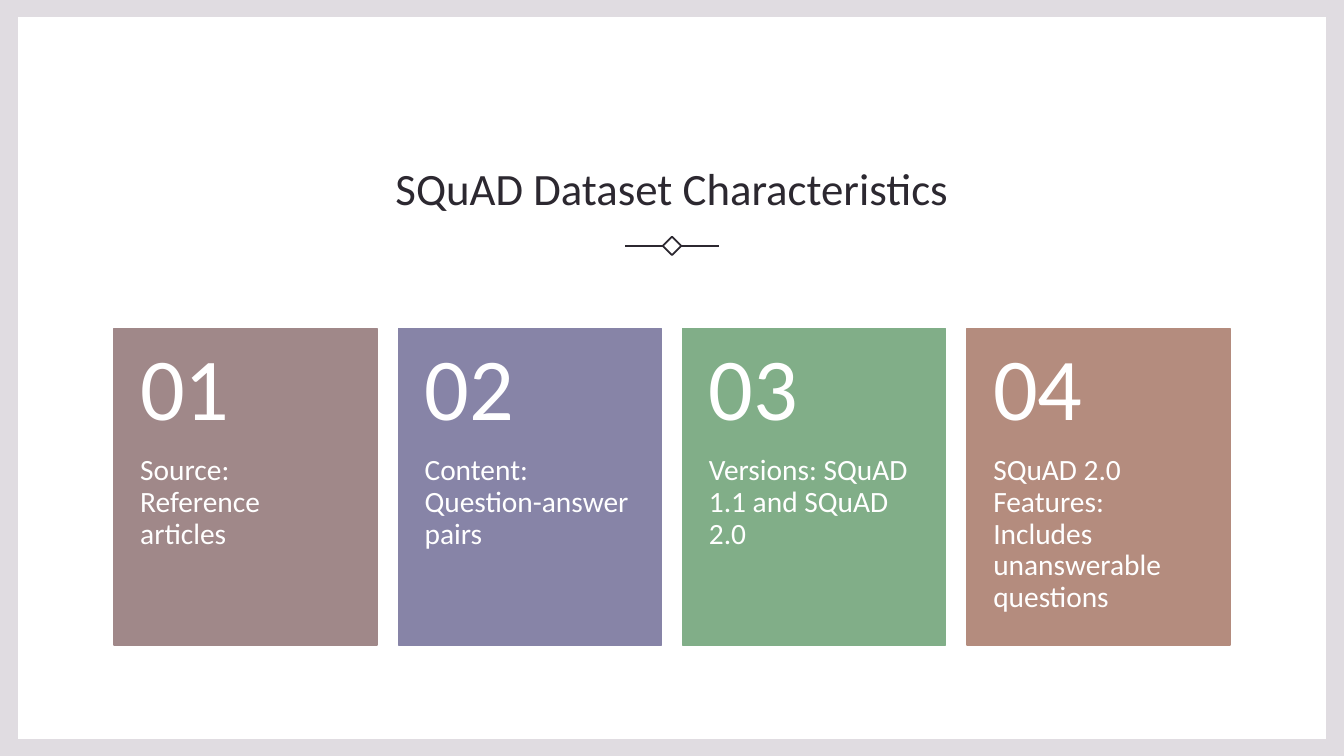
from lxml.etree import SubElement
from pptx import Presentation
from pptx.dml.color import RGBColor
from pptx.enum.shapes import MSO_CONNECTOR, MSO_SHAPE
from pptx.enum.text import MSO_ANCHOR, PP_ALIGN
from pptx.oxml.ns import qn
from pptx.util import Inches, Pt

TITLE = "SQuAD Dataset Characteristics"
CARDS = [
    ("01", "Source: Reference articles", "mauve"),
    ("02", "Content: Question-answer pairs", "violet"),
    ("03", "Versions: SQuAD 1.1 and SQuAD 2.0", "green"),
    ("04", "SQuAD 2.0 Features: Includes unanswerable questions", "clay"),
]
COLORS = {
    "frame": "E0DCE1", "white": "FFFFFF", "ink": "2C2830",
    "mauve": "A08889", "violet": "8784A7", "green": "81AE88", "clay": "B48C7E",
}
FONT = "Calibri"

SLIDE_W, SLIDE_H = 13.33, 7.5
BORDER_X, BORDER_Y = 0.18, 0.17
MARGIN = 1.13
CONTENT_W = SLIDE_W - 2 * MARGIN
GAP = 0.21
CARD_W = (CONTENT_W - GAP * (len(CARDS) - 1)) / len(CARDS)
CARD_TOP, CARD_H = 3.26, 3.14
NUMBER_H = 0.4 * CARD_H
PAD = CARD_W / 10
ORNAMENT_Y, DIAMOND = 2.44, 0.13
RULE_START, RULE_END = 0.09, 0.47  # distances from the slide's centre line


def rgb(name):
    return RGBColor.from_string(COLORS[name])


def add_rect(s, x, y, w, h, fill=None, line=None, width=1):
    sp = s.shapes.add_shape(MSO_SHAPE.RECTANGLE, Inches(x), Inches(y), Inches(w), Inches(h))
    sp.shadow.inherit = False
    if fill:
        sp.fill.solid()
        sp.fill.fore_color.rgb = rgb(fill)
    else:
        sp.fill.background()
    if line:
        sp.line.color.rgb = rgb(line)
        sp.line.width = Pt(width)
    else:
        sp.line.fill.background()
    return sp


def add_rule(s, x1, x2, y):
    sp = s.shapes.add_connector(MSO_CONNECTOR.STRAIGHT, Inches(x1), Inches(y), Inches(x2), Inches(y))
    sp.line.color.rgb = rgb("ink")
    sp.line.width = Pt(1.25)
    SubElement(sp.element.spPr, qn("a:effectLst"))


def add_text(s, text, x, y, w, h, size, color="white", align=PP_ALIGN.LEFT,
             anchor=MSO_ANCHOR.TOP, spacing=0.9, insets=(PAD, 0, PAD, 0.36)):
    tf = s.shapes.add_textbox(Inches(x), Inches(y), Inches(w), Inches(h)).text_frame
    tf.word_wrap = True
    tf.vertical_anchor = anchor
    tf.margin_left, tf.margin_top, tf.margin_right, tf.margin_bottom = map(Inches, insets)
    p = tf.paragraphs[0]
    p.alignment = align
    p.line_spacing = spacing
    r = p.add_run()
    r.text = text
    r.font.name = FONT
    r.font.size = Pt(size)
    r.font.color.rgb = rgb(color)


def add_ornament(s):
    center = SLIDE_W / 2
    diamond = add_rect(s, center - DIAMOND / 2, ORNAMENT_Y - DIAMOND / 2,
                       DIAMOND, DIAMOND, line="ink", width=1.25)
    diamond.rotation = 45
    for side in (-1, 1):
        add_rule(s, center + side * RULE_START, center + side * RULE_END, ORNAMENT_Y)


def add_card(s, index, number, text, color):
    x = MARGIN + index * (CARD_W + GAP)
    add_rect(s, x, CARD_TOP, CARD_W, CARD_H, fill=color, line=color)
    add_text(s, text, x, CARD_TOP + NUMBER_H, CARD_W, CARD_H - NUMBER_H, 21)
    add_text(s, number, x, CARD_TOP, CARD_W, NUMBER_H, 63,
             anchor=MSO_ANCHOR.MIDDLE, insets=(PAD, 0.18, PAD, 0.18))


def main():
    prs = Presentation()
    prs.slide_width, prs.slide_height = Inches(SLIDE_W), Inches(SLIDE_H)
    s = prs.slides.add_slide(prs.slide_layouts[6])
    add_rect(s, 0, 0, SLIDE_W, SLIDE_H, fill="frame")
    add_rect(s, BORDER_X, BORDER_Y, SLIDE_W - 2 * BORDER_X, SLIDE_H - 2 * BORDER_Y, fill="white")
    add_text(s, TITLE, MARGIN, 1.05, CONTENT_W, 1.13, 32, color="ink", align=PP_ALIGN.CENTER,
             anchor=MSO_ANCHOR.BOTTOM, spacing=1.1, insets=(0.1, 0.05, 0.1, 0.05))
    add_ornament(s)
    for index, card in enumerate(CARDS):
        add_card(s, index, *card)
    prs.save("out.pptx")


if __name__ == "__main__":
    main()
